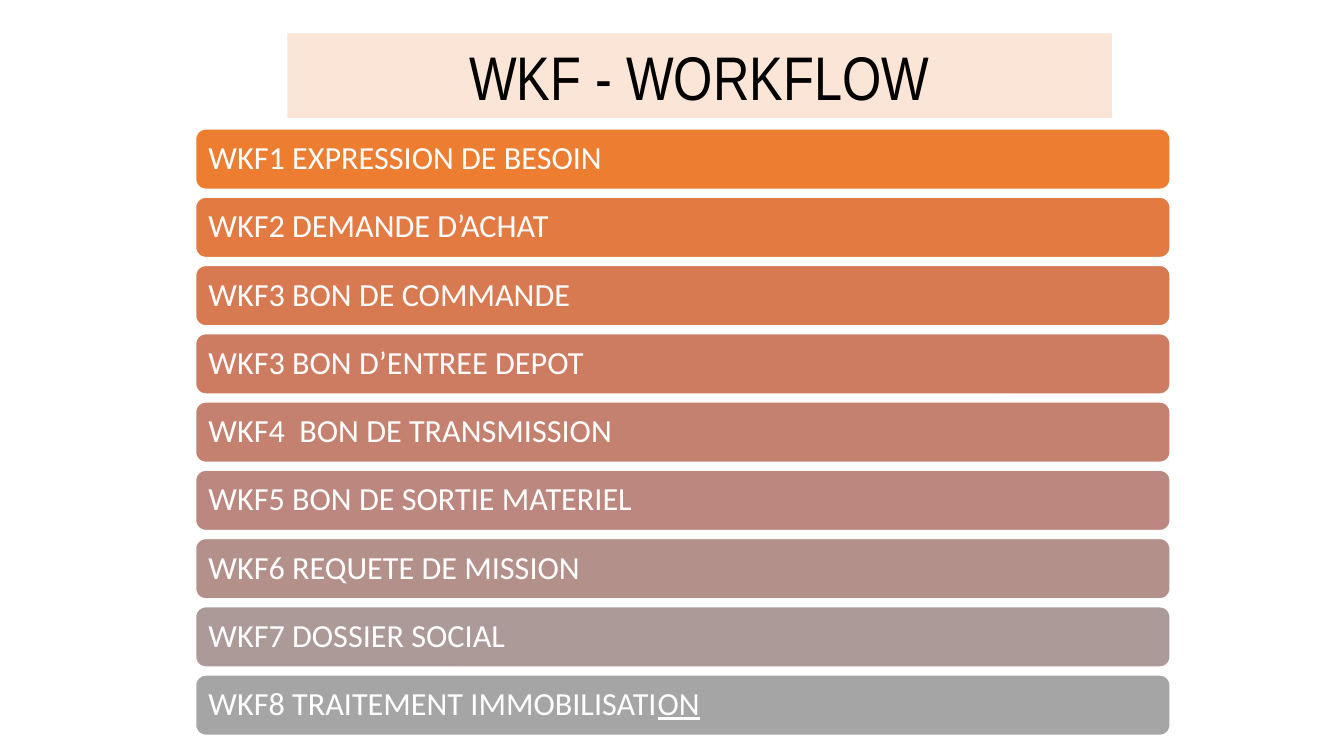
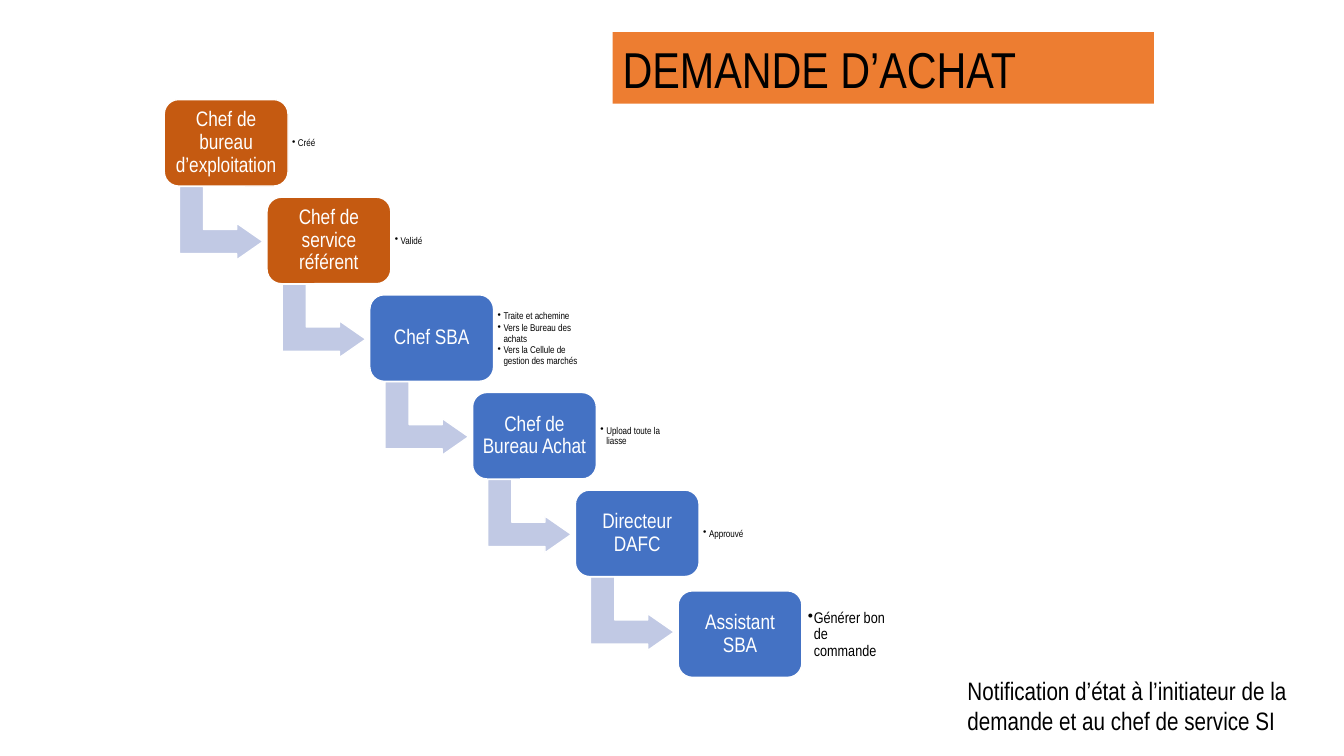
from colorsys import hls_to_rgb, rgb_to_hls

from lxml.etree import SubElement
from pptx import Presentation
from pptx.dml.color import RGBColor
from pptx.enum.shapes import MSO_SHAPE
from pptx.enum.text import MSO_ANCHOR, MSO_AUTO_SIZE, PP_ALIGN
from pptx.oxml.ns import qn
from pptx.util import Cm, Pt

# Content
WORKFLOW_TITLE = "WKF - WORKFLOW"
WORKFLOWS = [  # text, underlined ending
    ("WKF1 EXPRESSION DE BESOIN", ""),
    ("WKF2 DEMANDE D’ACHAT", ""),
    ("WKF3 BON DE COMMANDE", ""),
    ("WKF3 BON D’ENTREE DEPOT", ""),
    ("WKF4  BON DE TRANSMISSION", ""),
    ("WKF5 BON DE SORTIE MATERIEL", ""),
    ("WKF6 REQUETE DE MISSION", ""),
    ("WKF7 DOSSIER SOCIAL", ""),
    ("WKF8 TRAITEMENT IMMOBILISATI", "ON"),
]
PURCHASE_TITLE = "DEMANDE D’ACHAT"
SMALL_NOTE = {"size": 7, "inset": 0.1}
LARGE_NOTE = {"size": 11, "inset": 0.15}
STEPS = [  # role, box colour, actions, note format
    ("Chef de bureau d’exploitation", "rust", ["Créé"], SMALL_NOTE),
    ("Chef de service référent", "rust", ["Validé"], SMALL_NOTE),
    ("Chef SBA", "blue", ["Traite et achemine", "Vers le Bureau des achats",
                          "Vers la Cellule de gestion des marchés"], SMALL_NOTE),
    ("Chef de Bureau Achat", "blue", ["Upload toute la liasse"], SMALL_NOTE),
    ("Directeur DAFC", "blue", ["Approuvé"], SMALL_NOTE),
    ("Assistant SBA", "blue", ["Générer bon de commande"], LARGE_NOTE),
]
NOTIFICATION = "Notification d’état à l’initiateur de la demande et au chef de service SI"

# Shared style
COLOURS = {"orange": "ED7D31", "peach": "FBE5D6", "grey": "A5A5A5", "rust": "C55A11",
           "blue": "4472C4", "lavender": "C1C9E4", "white": "FFFFFF", "black": "000000"}
NARROW, ROUNDED = "Arial Narrow", "Calibri"

# Geometry in centimetres: left, top, width, height
ROW, ROW_PITCH = (4.93, 3.25, 24.56, 1.52), 1.72
STEP, STEP_PITCH = (4.14, 2.51, 3.12, 2.18), (2.59, 2.46)
ARROW_OFFSET, ARROW_SIZE = (0.51, 2.06), (1.85, 2.11)
NOTE_DROP, NOTE_SIZE = 0.22, (2.26, 1.78)


def place(area):
    return [Cm(round(length, 2)) for length in area]


def blend(start, end, share):
    """Mix two colours by hue, lightness and saturation."""
    first, last = (rgb_to_hls(*(part / 255 for part in RGBColor.from_string(value)))
                   for value in (start, end))
    mixed = hls_to_rgb(*(a + (b - a) * share for a, b in zip(first, last)))
    return str(RGBColor(*(round(part * 255) for part in mixed)))


def write_text(shape, paragraphs, size, font=NARROW, colour="black", align=PP_ALIGN.LEFT,
               anchor=MSO_ANCHOR.TOP, inset=None, spacing=1.0, after=0, bullet=False,
               underlined=""):
    frame = shape.text_frame
    frame.word_wrap = True
    frame.auto_size = MSO_AUTO_SIZE.NONE
    frame.vertical_anchor = anchor
    across, down = (0.25, 0.13) if inset is None else (inset, inset)
    frame.margin_left = frame.margin_right = Cm(across)
    frame.margin_top = frame.margin_bottom = Cm(down)
    for index, text in enumerate(paragraphs):
        para = frame.paragraphs[0] if index == 0 else frame.add_paragraph()
        para.alignment = align
        para.line_spacing = spacing
        para.space_after = Pt(after)
        for part in filter(None, (text, underlined)):
            span = para.add_run()
            span.text = part
            span.font.size = Pt(size)
            span.font.name = font
            span.font.color.rgb = RGBColor.from_string(COLOURS[colour])
            if part == underlined:
                span.font.underline = True
        if bullet:
            properties = para._p.get_or_add_pPr()
            properties.set("marL", str(Cm(0.15)))
            properties.set("indent", str(-Cm(0.15)))
            SubElement(properties, qn("a:buChar")).set("char", "•")


def add_page(deck, title, area, fill, size, align):
    page = deck.slides.add_slide(deck.slide_layouts[5])
    band = page.shapes.title
    band.left, band.top, band.width, band.height = place(area)
    band.fill.solid()
    band.fill.fore_color.rgb = RGBColor.from_string(COLOURS[fill])
    write_text(band, [title], size=size, align=align, anchor=MSO_ANCHOR.MIDDLE)
    return page


def add_block(page, kind, area, fill, adjustments=()):
    block = page.shapes.add_shape(kind, *place(area))
    block.shadow.inherit = False
    block.fill.solid()
    block.fill.fore_color.rgb = RGBColor.from_string(fill)
    block.line.color.rgb = RGBColor.from_string(COLOURS["white"])
    block.line.width = Pt(1)
    for index, value in enumerate(adjustments):
        block.adjustments[index] = value
    return block


def build_workflow_list(deck):
    page = add_page(deck, WORKFLOW_TITLE, (7.24, 0.84, 20.78, 2.13), "peach", 44,
                    PP_ALIGN.CENTER)
    left, top, width, height = ROW
    for index, (text, ending) in enumerate(WORKFLOWS):
        fill = blend(COLOURS["orange"], COLOURS["grey"], index / (len(WORKFLOWS) - 1))
        row = add_block(page, MSO_SHAPE.ROUNDED_RECTANGLE,
                        (left, top + index * ROW_PITCH, width, height), fill)
        write_text(row, [text], size=23, font=ROUNDED, colour="white", inset=0.25,
                   anchor=MSO_ANCHOR.MIDDLE, spacing=0.9, underlined=ending)


def build_purchase_steps(deck):
    page = add_page(deck, PURCHASE_TITLE, (15.44, 0.81, 13.64, 1.8), "orange", 36,
                    PP_ALIGN.LEFT)
    width, height = STEP[2:]
    for index, (role, fill, actions, note_format) in enumerate(STEPS):
        left, top = (start + index * pitch for start, pitch in zip(STEP, STEP_PITCH))
        # Arrow to the next step
        if index < len(STEPS) - 1:
            arrow = add_block(page, MSO_SHAPE.BENT_UP_ARROW,
                              (left + ARROW_OFFSET[0], top + ARROW_OFFSET[1], *ARROW_SIZE),
                              COLOURS["lavender"], (0.33, 0.25, 0.36))
            arrow.rotation = 90
        else:
            top += 0.08  # the closing step sits slightly lower
        # Role and its actions
        box = add_block(page, MSO_SHAPE.ROUNDED_RECTANGLE, (left, top, width, height),
                        COLOURS[fill])
        write_text(box, [role], size=15, colour="white", align=PP_ALIGN.CENTER,
                   anchor=MSO_ANCHOR.MIDDLE, inset=0.15, spacing=0.9)
        note = page.shapes.add_textbox(*place((left + width, top + NOTE_DROP, *NOTE_SIZE)))
        write_text(note, actions, anchor=MSO_ANCHOR.MIDDLE, spacing=0.9, after=1,
                   bullet=True, **note_format)
    notification = page.shapes.add_textbox(*place((24.13, 16.89, 8.89, 1.8)))
    write_text(notification, [NOTIFICATION], size=18)


def main():
    deck = Presentation()
    deck.slide_width, deck.slide_height = Cm(33.87), Cm(19.05)
    build_workflow_list(deck)
    build_purchase_steps(deck)
    deck.save("out.pptx")


if __name__ == "__main__":
    main()
